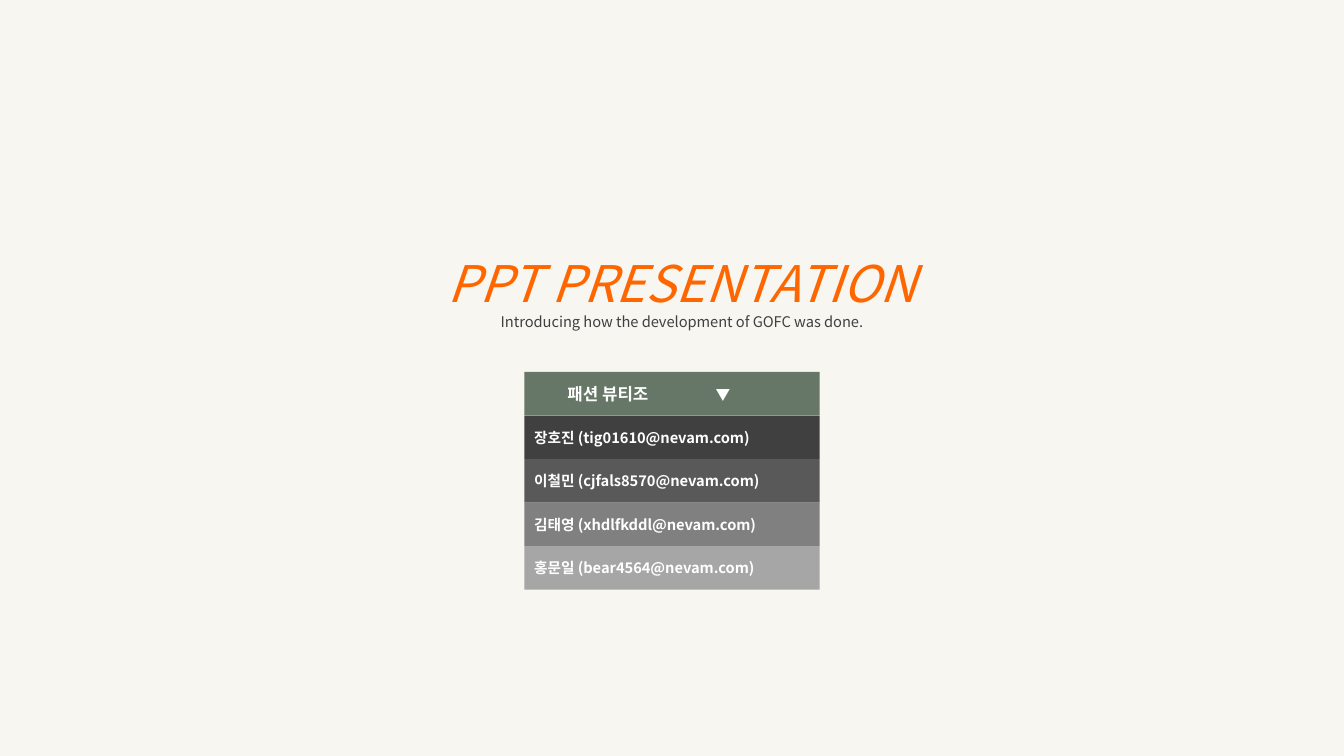
from dataclasses import dataclass

from lxml.etree import SubElement
from pptx import Presentation
from pptx.dml.color import RGBColor
from pptx.enum.shapes import MSO_SHAPE as Preset
from pptx.enum.text import MSO_ANCHOR as Anchor, MSO_AUTO_SIZE as AutoSize, PP_ALIGN as Align
from pptx.oxml.ns import qn
from pptx.slide import Slide
from pptx.text.text import _Paragraph as Paragraph
from pptx.util import Inches, Pt

FONT = "Noto Sans CJK KR"
WHITE = "FFFFFF"

LIST_LEFT, LIST_TOP = 5.2, 3.69
LIST_WIDTH, LIST_HEIGHT = 2.93, 2.16
HEADER_TABS = (0.33, 1.8)
TITLE_INDENT = 0.2


@dataclass(frozen=True)
class Phrase:
    text: str
    size: float
    color: str = WHITE
    bold: bool = False
    italic: bool = False


@dataclass(frozen=True)
class Row:
    fill: str
    phrases: tuple[Phrase, ...]
    tabs: tuple[float, ...] = ()


def member(fill: str, name: str, account: str) -> Row:
    text = f"{name} ({account}@nevam.com)"
    return Row(fill, (Phrase(text, 10.5, bold=True),))


TITLE_LINES = (
    Phrase("PPT PRESENTATION", 36, "FF6600", italic=True),
    Phrase("Introducing how the development of GOFC was done.", 10.5, "404040"),
)

ROWS = (
    Row(
        "667767",
        (Phrase("\t패션 뷰티조", 12, bold=True), Phrase("\t▼", 10.5, bold=True)),
        HEADER_TABS,
    ),
    member("404040", "장호진", "tig01610"),
    member("595959", "이철민", "cjfals8570"),
    member("808080", "김태영", "xhdlfkddl"),
    member("A6A6A6", "홍문일", "bear4564"),
)


def rgb(color: str) -> RGBColor:
    return RGBColor.from_string(color)


def add_phrase(paragraph: Paragraph, phrase: Phrase) -> None:
    run = paragraph.add_run()
    run.text = phrase.text
    font = run.font
    font.name = FONT
    font.size = Pt(phrase.size)
    font.bold = phrase.bold
    font.italic = phrase.italic
    font.color.rgb = rgb(phrase.color)
    SubElement(run._r.get_or_add_rPr(), qn("a:ea")).set("typeface", FONT)


def set_tabs(paragraph: Paragraph, positions: tuple[float, ...]) -> None:
    tab_list = SubElement(paragraph._p.get_or_add_pPr(), qn("a:tabLst"))
    for position in positions:
        tab = SubElement(tab_list, qn("a:tab"))
        tab.set("pos", str(Inches(position)))
        tab.set("algn", "l")


def add_title(slide: Slide) -> None:
    box = slide.shapes.add_textbox(Inches(3.33), Inches(2.45), Inches(6.67), Inches(0.88))
    frame = box.text_frame
    frame.word_wrap = True
    frame.auto_size = AutoSize.SHAPE_TO_FIT_TEXT
    for index, line in enumerate(TITLE_LINES):
        paragraph = frame.add_paragraph() if index else frame.paragraphs[0]
        paragraph.alignment = Align.CENTER
        paragraph._p.get_or_add_pPr().set("marL", str(Inches(TITLE_INDENT)))
        add_phrase(paragraph, line)


def add_row(slide: Slide, row: Row, top: float, height: float) -> None:
    shape = slide.shapes.add_shape(
        Preset.RECTANGLE, Inches(LIST_LEFT), Inches(top), Inches(LIST_WIDTH), Inches(height)
    )
    shape.shadow.inherit = False
    shape.fill.solid()
    shape.fill.fore_color.rgb = rgb(row.fill)
    shape.line.fill.background()
    frame = shape.text_frame
    frame.word_wrap = True
    frame.vertical_anchor = Anchor.MIDDLE
    paragraph = frame.paragraphs[0]
    paragraph.alignment = Align.LEFT
    if row.tabs:
        set_tabs(paragraph, row.tabs)
    for phrase in row.phrases:
        add_phrase(paragraph, phrase)


def main() -> None:
    presentation = Presentation()
    presentation.slide_width = Inches(13.33)
    presentation.slide_height = Inches(7.5)
    slide = presentation.slides.add_slide(presentation.slide_layouts[6])
    slide.background.fill.solid()
    slide.background.fill.fore_color.rgb = rgb("F7F6F1")

    add_title(slide)
    height = LIST_HEIGHT / len(ROWS)
    for index, row in enumerate(ROWS):
        add_row(slide, row, LIST_TOP + index * height, height)

    presentation.save("out.pptx")


if __name__ == "__main__":
    main()
